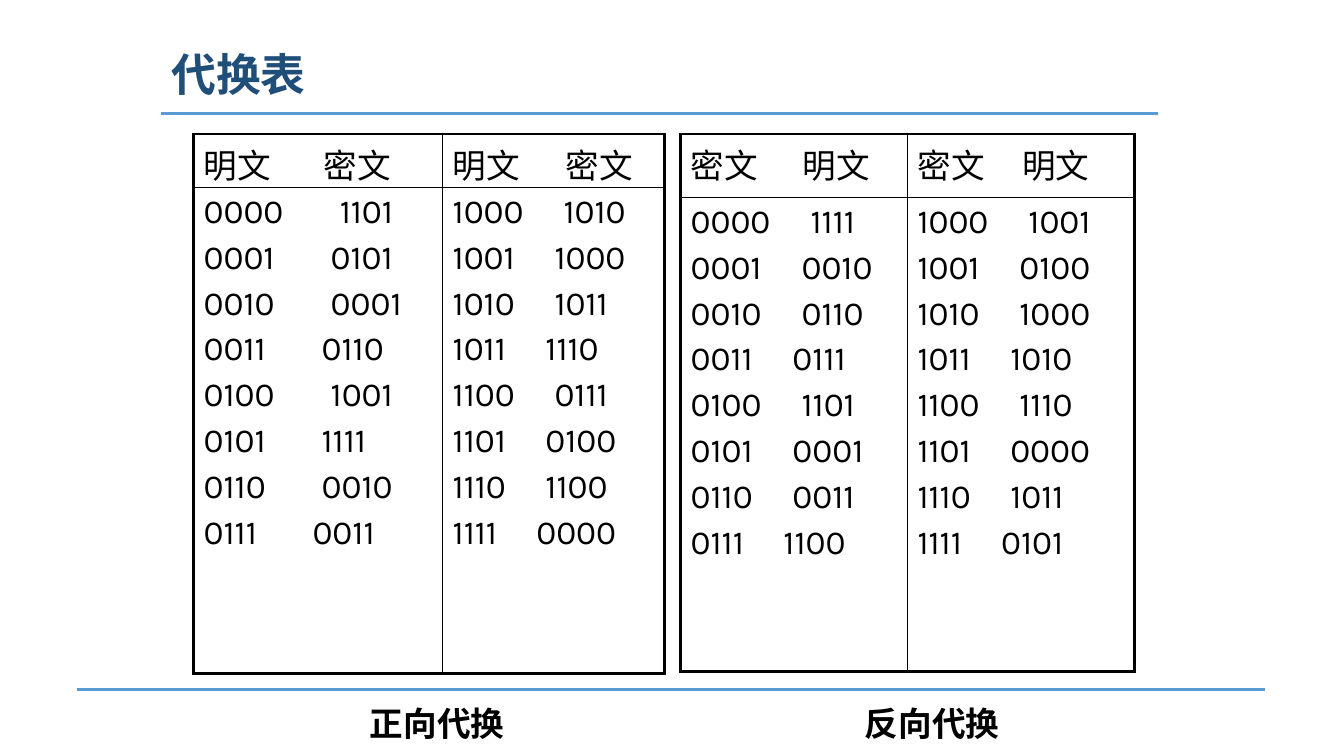
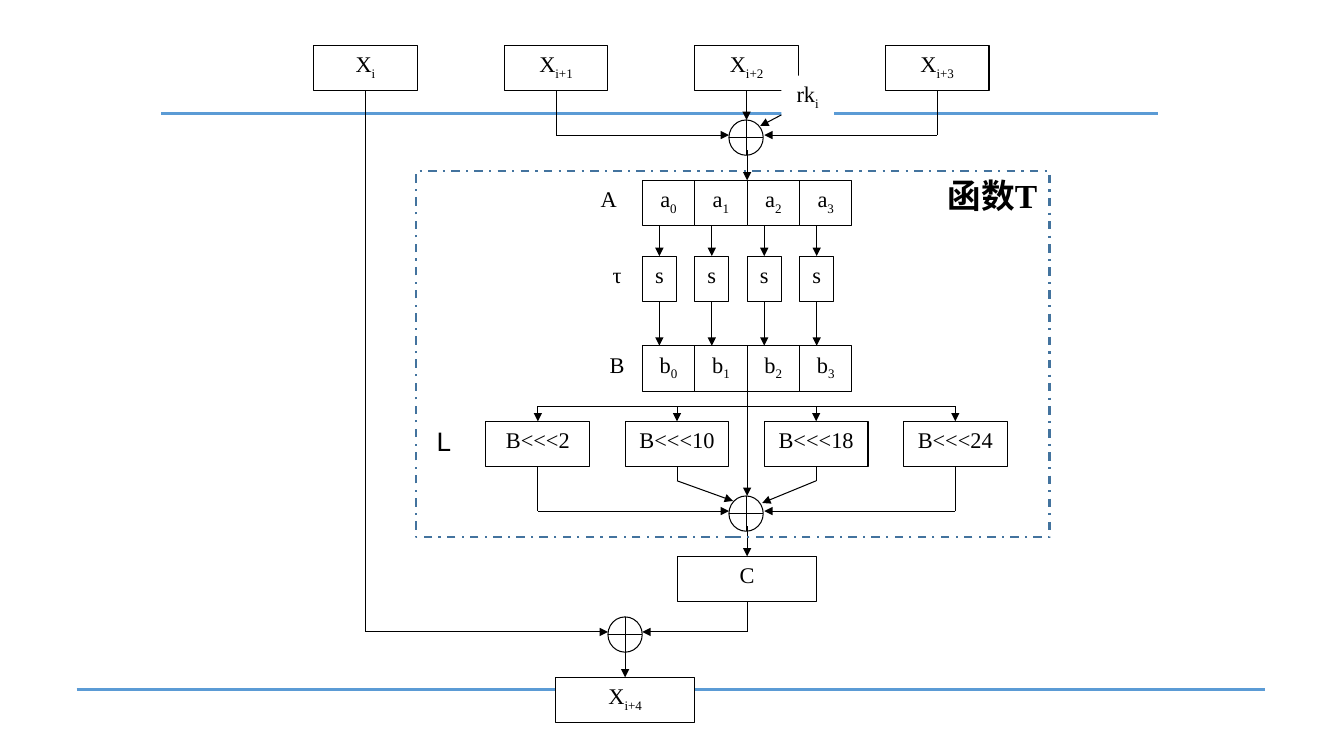
from lxml import etree
from pptx import Presentation
from pptx.dml.color import RGBColor
from pptx.enum.dml import MSO_LINE
from pptx.enum.shapes import MSO_CONNECTOR, MSO_SHAPE
from pptx.enum.text import MSO_ANCHOR, PP_ALIGN
from pptx.oxml.ns import qn
from pptx.util import Inches, Pt

BLACK = RGBColor(0, 0, 0)
WHITE = RGBColor(0xFF, 0xFF, 0xFF)
BAND = RGBColor(0x5B, 0x9B, 0xD5)
NAVY = RGBColor(0x1F, 0x4E, 0x79)
STEEL = RGBColor(0x43, 0x73, 0x9E)
ROMAN, HAN = "Times New Roman", "Noto Sans CJK SC"
TOP, MID = MSO_ANCHOR.TOP, MSO_ANCHOR.MIDDLE


def put(par, text, face=ROMAN, size=16, color=BLACK, bold=False, base=None):
    """Add one run to a paragraph; base lowers it as a subscript."""
    run = par.add_run()
    run.text = text
    font = run.font
    font.name, font.size, font.bold = face, Pt(size), bold
    font.color.rgb = color
    props = font._element
    etree.SubElement(props, qn("a:ea"), typeface=HAN)
    if base:
        props.set("baseline", str(base))


def line(slide, x1, y1, x2, y2, arrow=False, start=None, end=None,
         color=BLACK, width=0.75):
    """Draw a straight line; start and end are (shape, side) joints."""
    link = slide.shapes.add_connector(
        MSO_CONNECTOR.STRAIGHT, Inches(x1), Inches(y1), Inches(x2), Inches(y2))
    if start:
        link.begin_connect(*start)
    if end:
        link.end_connect(*end)
    link.line.color.rgb = color
    link.line.width = Pt(width)
    if arrow:
        etree.SubElement(link.line._get_or_add_ln(), qn("a:tailEnd"),
                         type="triangle")
    etree.SubElement(link._element.spPr, qn("a:effectLst"))


prs = Presentation()
prs.slide_width, prs.slide_height = Inches(13.33), Inches(7.5)
swap, flow = [prs.slides.add_slide(prs.slide_layouts[6]) for _ in range(2)]
for slide in (swap, flow):
    for left, right, y in ((1.6, 11.49, 1.13), (0.76, 12.55, 6.84)):
        line(slide, left, y, right, y, color=BAND, width=2.25)

# Free text on both slides
for slide, x, y, w, h, text, face, size, color, bold, anchor, lead in (
    (swap, 1.6, 0.4, 9.88, 0.73, "代换表", HAN, 32, NAVY, True, MID, 0.9),
    (swap, 3.57, 6.92, 2.02, 0.5, "正向代换", ROMAN, 24, BLACK, True, TOP, 1.0),
    (swap, 8.48, 6.92, 2.02, 0.5, "反向代换", ROMAN, 24, BLACK, True, TOP, 1.0),
    (flow, 9.3, 1.69, 1.1, 0.51, "函数T", ROMAN, 24, BLACK, True, TOP, 1.0),
    (flow, 4.23, 4.18, 0.52, 0.4, "L", "DejaVu Sans", 18, BLACK, False, TOP, 1.0),
):
    frame = slide.shapes.add_textbox(
        Inches(x), Inches(y), Inches(w), Inches(h)).text_frame
    frame.word_wrap = True
    frame.vertical_anchor = anchor
    par = frame.paragraphs[0]
    par.line_spacing = lead
    put(par, text, face, size, color, bold)

# Substitution tables: the second is the inverse of the first
code = [13, 5, 1, 6, 9, 15, 2, 3, 10, 8, 11, 14, 7, 4, 12, 0]
back = [code.index(n) for n in range(16)]
ONE = 0.09  # how much narrower the digit 1 is than 0
for x, cols, rows, heads, stops, gaps, values in (
    (1.92, (2.47, 2.2), (0.53, 4.82), ("明文", "密文"),
     (1.19, 1.12), (1.35, 1.19), code),
    (6.75, (2.25, 2.25), (0.63, 4.7), ("密文", "明文"),
     (1.11, 1.04), (1.19, 1.19), back),
):
    table = swap.shapes.add_table(
        2, 2, Inches(x), Inches(1.33), Inches(sum(cols)),
        Inches(sum(rows))).table
    table.first_row = table.horz_banding = False
    for i in range(2):
        table.columns[i].width = Inches(cols[i])
        table.rows[i].height = Inches(rows[i])
    for r in range(2):
        for c in range(2):
            cell = table.cell(r, c)
            props = cell._tc.get_or_add_tcPr()
            for side, outer in (("L", c == 0), ("R", c == 1),
                                ("T", r == 0), ("B", r == 1)):
                edge = etree.SubElement(props, qn("a:ln" + side),
                                        w=str(Pt(2.25 if outer else 1)))
                fill = etree.SubElement(edge, qn("a:solidFill"))
                etree.SubElement(fill, qn("a:srgbClr"), val=str(BLACK))
            cell.fill.background()
            if r == 0:
                pairs = [(*heads, stops[c])]
            else:
                pairs = []
                for n in range(8 * c, 8 * c + 8):
                    key = f"{n:04b}"
                    pairs.append((key, f"{values[n]:04b}",
                                  gaps[c] - ONE * key.count("1")))
            frame = cell.text_frame
            for i, (key, value, stop) in enumerate(pairs):
                par = frame.add_paragraph() if i else frame.paragraphs[0]
                tabs = etree.SubElement(par._p.get_or_add_pPr(),
                                        qn("a:tabLst"))
                etree.SubElement(tabs, qn("a:tab"), pos=str(Inches(stop)),
                                 algn="l")
                if i:
                    par.space_before = Pt(4.8)
                put(par, f"{key}\t{value}", "Karla", 24)

# Boxes of the round function: left, top, width, text, subscript, outlined
HIGH, WIDE, CELL, SLIM = 0.45, 1.03, 0.52, 0.34
words = [3.11 + 1.89 * i for i in range(4)]
cells = [6.37 + CELL * i for i in range(4)]
turns = [4.82 + 1.38 * i for i in range(4)]
plan = [(5.86, y, CELL, text, "", False)
        for y, text in ((1.79, "A"), (2.54, "τ"), (3.43, "B"))]
for i in range(4):
    plan += [
        (words[i], 0.45, WIDE, "X", f"i+{i}" if i else "i", True),
        (cells[i], 1.79, CELL, "a", str(i), True),
        (cells[i], 2.54, SLIM, "s", "", True),
        (cells[i], 3.43, CELL, "b", str(i), True),
        (turns[i], 4.18, WIDE, f"B<<<{(2, 10, 18, 24)[i]}", "", True),
    ]
plan += [
    (7.75, 0.75, CELL, "rk", "i", False),
    (6.72, 5.52, 1.38, "C", "", True),
    (5.51, 6.72, 1.38, "X", "i+4", True),
]
made = {}
for x, y, w, text, sub, edged in plan:
    box = flow.shapes.add_shape(
        MSO_SHAPE.RECTANGLE, Inches(x), Inches(y), Inches(w), Inches(HIGH))
    box.shadow.inherit = False
    box.fill.solid()
    box.fill.fore_color.rgb = WHITE
    if edged:
        box.line.color.rgb = BLACK
        box.line.width = Pt(0.75)
    else:
        box.line.fill.background()
    frame = box.text_frame
    frame.word_wrap = True
    frame.vertical_anchor = TOP
    par = frame.paragraphs[0]
    par.alignment = PP_ALIGN.LEFT if text == "A" else PP_ALIGN.CENTER
    put(par, text)
    if sub:
        put(par, sub, base=-25000)
    made.setdefault(text, []).append(box)

for x, y in ((7.23, 1.19), (7.23, 4.92), (6.03, 6.12)):
    ring = flow.shapes.add_shape(
        MSO_SHAPE.FLOWCHART_OR, Inches(x), Inches(y), Inches(SLIM), Inches(0.35))
    ring.shadow.inherit = False
    ring.fill.solid()
    ring.fill.fore_color.rgb = WHITE
    ring.line.color.rgb = BLACK
    ring.line.width = Pt(0.75)

# Input words into the first sum, and the first word down to the last sum
AXIS = 7.41
for i, low in enumerate((6.27, 1.34, 1.19, 1.34)):
    mid = words[i] + WIDE / 2
    line(flow, mid, 0.9, mid, low, arrow=i == 2, start=(made["X"][i], 2))
line(flow, words[1] + WIDE / 2, 1.34, 7.23, 1.34, True)
line(flow, words[3] + WIDE / 2, 1.34, 7.58, 1.34, True)
line(flow, 7.75, 1.14, 7.54, 1.25, True)
line(flow, AXIS, 1.49, AXIS, 1.79, True)

# Through the S-boxes
for x, box in zip(cells, made["s"]):
    mid = x + SLIM / 2
    line(flow, mid, 2.24, mid, 2.54, True, end=(box, 0))
    line(flow, mid, 2.99, mid, 3.43, True, start=(box, 2))

# Through the rotations into the second sum
mids = [x + WIDE / 2 for x in turns]
line(flow, AXIS, 3.88, AXIS, 4.92, True)
line(flow, mids[3], 4.03, mids[0], 4.03)
for i, (low, tip, tall) in enumerate((
        (5.07, 7.23, 5.07), (4.77, 7.27, 4.97),
        (4.77, 7.56, 4.99), (5.07, 7.58, 5.07))):
    box = made[f"B<<<{(2, 10, 18, 24)[i]}"][0]
    line(flow, mids[i], 4.03, mids[i], 4.18, True, end=(box, 0))
    line(flow, mids[i], 4.63, mids[i], low, start=(box, 2))
    line(flow, mids[i], low, tip, tall, True)

# Result
last = made["C"][0]
line(flow, AXIS, 5.22, AXIS, 5.52, True, end=(last, 0))
line(flow, AXIS, 5.97, AXIS, 6.27, start=(last, 2))
line(flow, AXIS, 6.27, 6.37, 6.27, True)
line(flow, words[0] + WIDE / 2, 6.27, 6.03, 6.27, True)
line(flow, 6.2, 6.42, 6.2, 6.72, True, end=(made["X"][4], 0))

zone = flow.shapes.add_shape(
    MSO_SHAPE.RECTANGLE, Inches(4.13), Inches(1.7), Inches(6.28), Inches(3.63))
zone.shadow.inherit = False
zone.fill.background()
zone.line.color.rgb = STEEL
zone.line.width = Pt(1.5)
zone.line.dash_style = MSO_LINE.DASH_DOT

prs.save("out.pptx")
